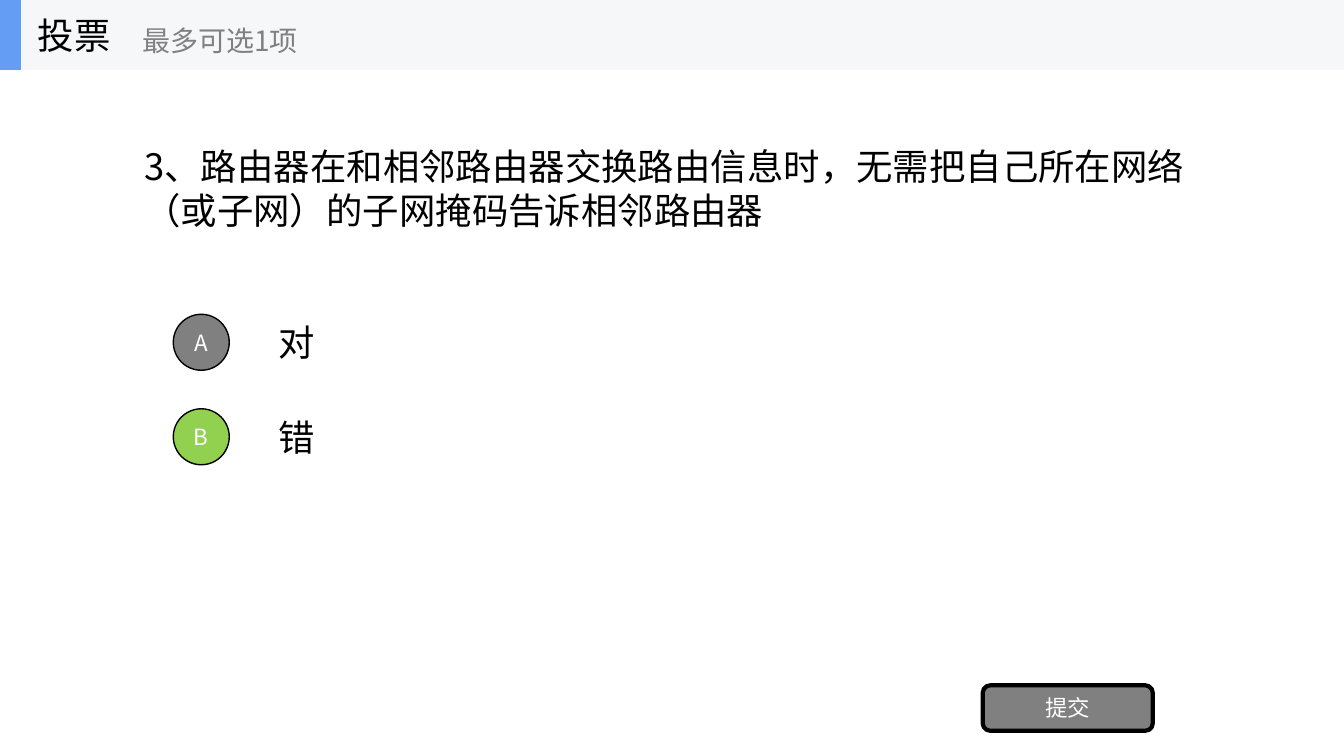
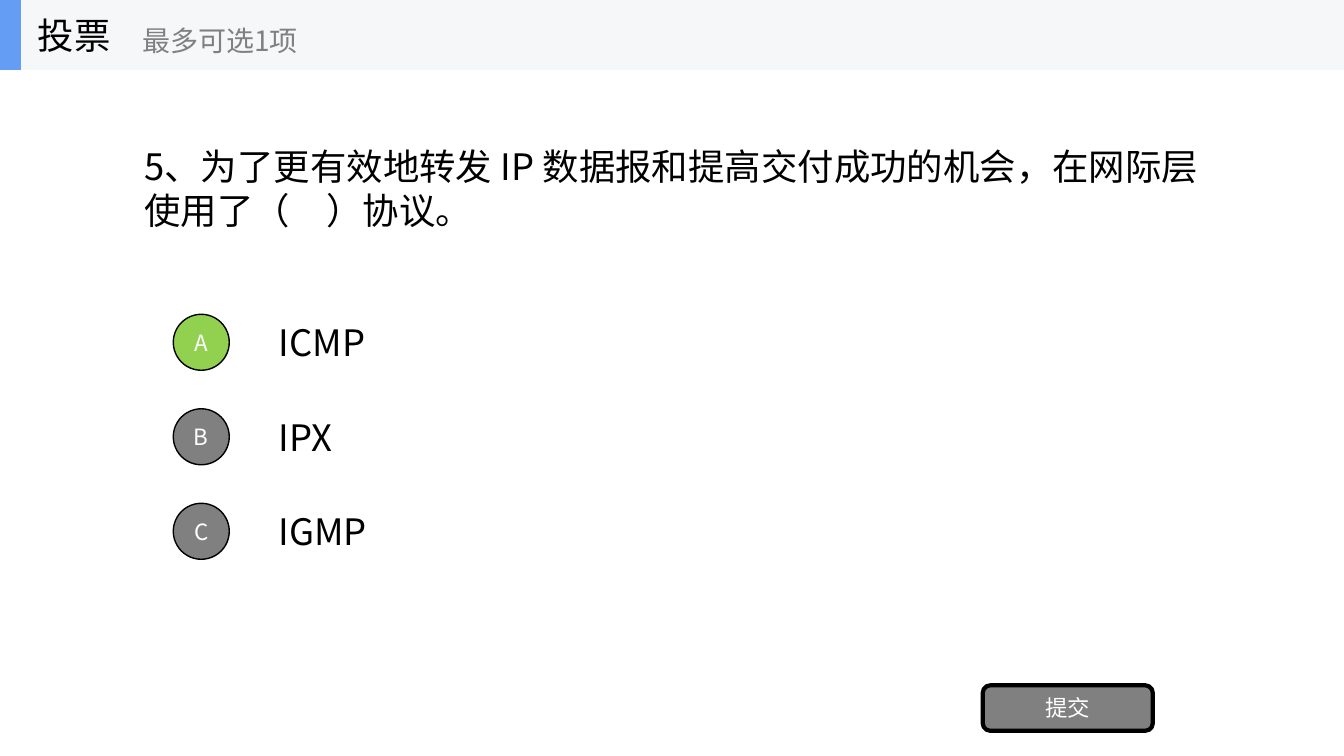
from dataclasses import dataclass

from lxml.etree import SubElement
from pptx import Presentation
from pptx.dml.color import RGBColor
from pptx.enum.shapes import MSO_SHAPE
from pptx.enum.text import MSO_ANCHOR, PP_ALIGN
from pptx.oxml.ns import qn
from pptx.shapes.base import BaseShape
from pptx.shapes.group import GroupShape
from pptx.slide import Slide
from pptx.util import Inches, Length, Pt

WIDTH, HEIGHT = 13.333, 7.5
COLUMNS, ROWS = 192, 108
FONT = "Noto Sans CJK SC"
BLACK, WHITE, GREY = "000000", "FFFFFF", "808080"
GREEN, BLUE, PALE = "92D050", "639EF4", "F6F7F8"
HEADER_ROWS = 10
OPTION_TOP, OPTION_PITCH, OPTION_ROWS = 43.9, 13.5, 10
BADGE_SIZE = 8


@dataclass(frozen=True)
class Area:
    column: float
    row: float
    columns: float
    rows: float

    def lengths(self) -> tuple[Length, ...]:
        across, down = WIDTH / COLUMNS, HEIGHT / ROWS
        return (Inches(self.column * across), Inches(self.row * down),
                Inches(self.columns * across), Inches(self.rows * down))


@dataclass(frozen=True)
class Poll:
    question: str
    options: tuple[str, ...]
    chosen: int


POLLS = (
    Poll("3、路由器在和相邻路由器交换路由信息时，无需把自己所在网络（或子网）的子网掩码告诉相邻路由器",
         ("对", "错"), 1),
    Poll("5、为了更有效地转发 IP 数据报和提高交付成功的机会，在网际层使用了（　）协议。",
         ("ICMP", "IPX", "IGMP"), 0),
)


def colour(code: str) -> RGBColor:
    return RGBColor.from_string(code)


def write(box: BaseShape, text: str, size: float, code: str,
          align: PP_ALIGN = PP_ALIGN.LEFT) -> None:
    frame = box.text_frame
    frame.word_wrap = True
    frame.vertical_anchor = MSO_ANCHOR.MIDDLE
    para = frame.paragraphs[0]
    para.alignment = align
    span = para.add_run()
    span.text = text
    span.font.size = Pt(size)
    span.font.color.rgb = colour(code)
    span.font.name = FONT
    SubElement(span.font._element, qn("a:ea")).set("typeface", FONT)


def add_label(page: Slide | GroupShape, area: Area, text: str,
              size: float = 26, code: str = BLACK) -> None:
    write(page.shapes.add_textbox(*area.lengths()), text, size, code)


def add_figure(page: Slide | GroupShape, kind: MSO_SHAPE, area: Area, fill: str,
               border: float = 0, text: str = "") -> None:
    box = page.shapes.add_shape(kind, *area.lengths())
    box.shadow.inherit = False
    box.fill.solid()
    box.fill.fore_color.rgb = colour(fill)
    if border:
        box.line.color.rgb = colour(BLACK)
        box.line.width = Pt(border)
    else:
        box.line.fill.background()
    if text:
        write(box, text, 16, WHITE, PP_ALIGN.CENTER)


def add_header(page: Slide) -> None:
    header = page.shapes.add_group_shape()
    for columns, fill in ((COLUMNS, PALE), (3, BLUE)):
        add_figure(header, MSO_SHAPE.RECTANGLE, Area(0, 0, columns, HEADER_ROWS), fill)
    add_label(header, Area(4, 0, 30, HEADER_ROWS), "投票")
    add_label(header, Area(18.9, 1.75, 36, 8), "最多可选1项", 20, GREY)


def add_poll(page: Slide, poll: Poll) -> None:
    add_label(page, Area(0.1 * COLUMNS, HEADER_ROWS, 0.8 * COLUMNS, 33.75), poll.question)
    tops = [OPTION_TOP + index * OPTION_PITCH for index in range(len(poll.options))]
    for top, option in zip(tops, poll.options):
        add_label(page, Area(0.2 * COLUMNS, top, 0.7 * COLUMNS, OPTION_ROWS), option)
    inset = (OPTION_ROWS - BADGE_SIZE) / 2
    for index, (top, letter) in enumerate(zip(tops, "ABCDEF")):
        add_figure(page, MSO_SHAPE.OVAL,
                   Area(24.75, top + inset, BADGE_SIZE, BADGE_SIZE),
                   GREEN if index == poll.chosen else GREY, 1, letter)
    add_figure(page, MSO_SHAPE.ROUNDED_RECTANGLE, Area(140.4, 97.9, 24.3, 6.5),
               GREY, 3, "提交")
    add_header(page)


def main() -> None:
    deck = Presentation()
    deck.slide_width, deck.slide_height = Inches(WIDTH), Inches(HEIGHT)
    for poll in POLLS:
        add_poll(deck.slides.add_slide(deck.slide_layouts[6]), poll)
    deck.save("out.pptx")


if __name__ == "__main__":
    main()
